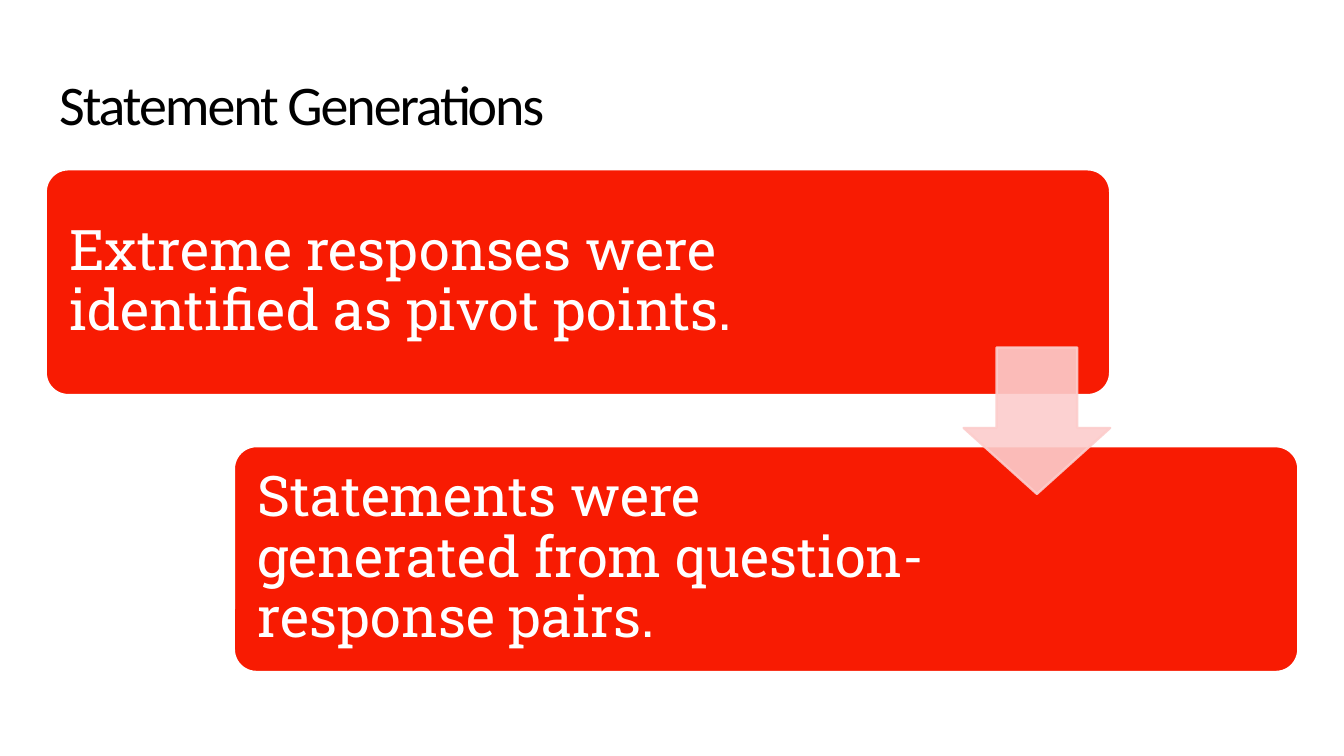
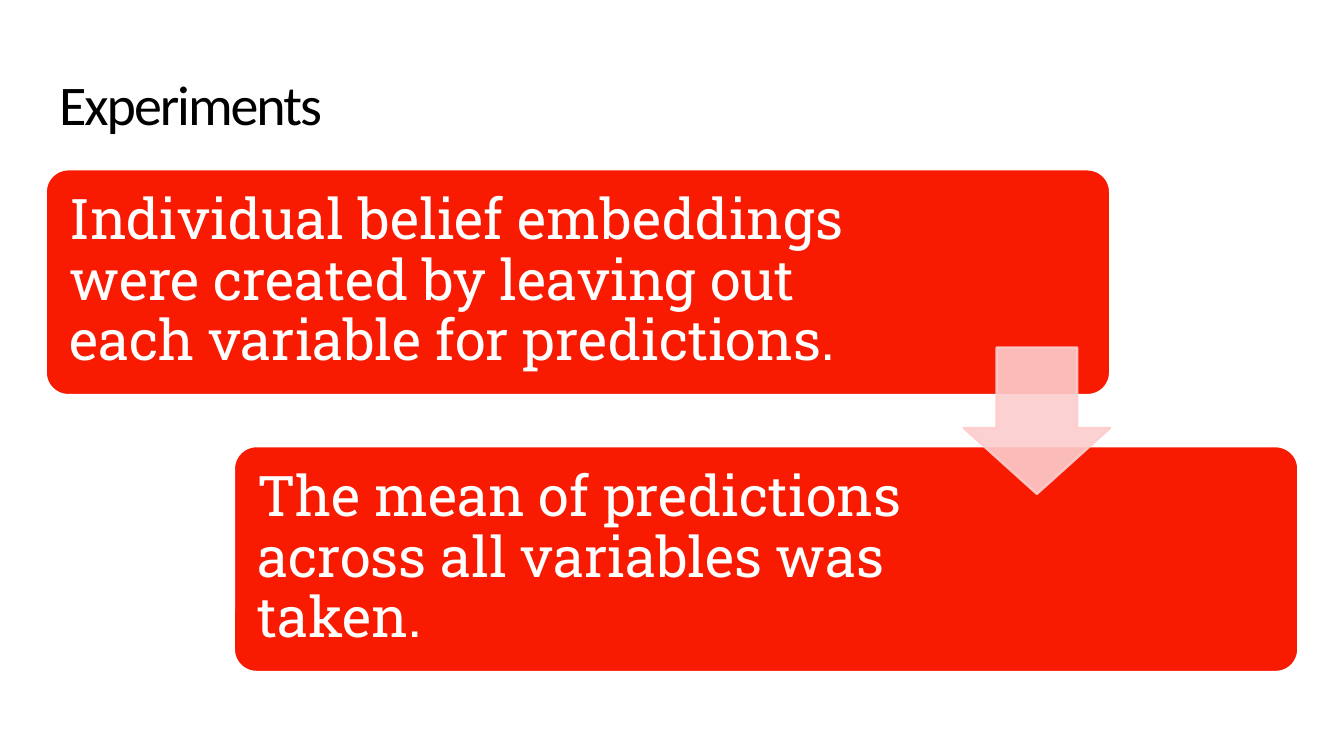
from lxml import etree
from pptx import Presentation, util as u
from pptx.dml.color import RGBColor
from pptx.enum import shapes as sh, text as tx
from pptx.oxml.ns import qn

RED, PINK, WHITE, BLACK = "F81B02", "FCCDCC", "FFFFFF", "000000"
LEFT, TOP, WIDE, HIGH = 0.34, 1.26, 7.92, 1.68   # first step box
STEP_X, STEP_Y = 1.4, 2.06                       # shift to the next step
PAD = 0.05                                       # text area inside a box
ARROW = 1.09

DECK = [
    ("Statement Generations",
     ["Extreme responses were identified as pivot points.",
      "Statements were generated from question-response pairs."]),
    ("Experiments",
     ["Individual belief embeddings were created by leaving out each variable for predictions.",
      "The mean of predictions across all variables was taken."]),
]


def paint(shape, fill, line):
    shape.shadow.inherit = False
    shape.fill.solid()
    shape.fill.fore_color.rgb = RGBColor.from_string(fill)
    shape.line.color.rgb = RGBColor.from_string(line)
    shape.line.width = u.Pt(1.25)


def write(box, words, font, color, inset, space, anchor):
    frame = box.text_frame
    frame.text = words
    frame.word_wrap = True
    frame.auto_size = tx.MSO_AUTO_SIZE.NONE
    frame.vertical_anchor = anchor
    frame.margin_left = frame.margin_right = u.Pt(inset)
    frame.margin_top = frame.margin_bottom = u.Pt(inset)
    para = frame.paragraphs[0]
    para.alignment = tx.PP_ALIGN.LEFT
    para.line_spacing = space
    para.font.name = font
    para.font.size = u.Pt(30)
    para.font.color.rgb = RGBColor.from_string(color)
    return para


# Widescreen page, 16 by 9
prs = Presentation()
prs.slide_width = u.Inches(10)
prs.slide_height = prs.slide_width * 9 // 16

for head, steps in DECK:
    slide = prs.slides.add_slide(prs.slide_layouts[5])

    # Title
    title = slide.shapes.title
    title.left, title.top = u.Inches(LEFT), u.Inches(0.49)
    title.width, title.height = u.Inches(10 - 2 * LEFT), u.Inches(0.63)
    para = write(title, head, "Calibri", BLACK, 7.2, 0.85, tx.MSO_ANCHOR.TOP)
    para.runs[0].font._element.set("spc", "-110")

    # Staggered steps, each with its text area
    for i, (words, span) in enumerate(zip(steps, (6.18, 5.33))):
        x, y = LEFT + i * STEP_X, TOP + i * STEP_Y
        box = slide.shapes.add_shape(
            sh.MSO_SHAPE.ROUNDED_RECTANGLE,
            u.Inches(x), u.Inches(y), u.Inches(WIDE), u.Inches(HIGH))
        box.adjustments[0] = 0.1
        paint(box, RED, WHITE)
        label = slide.shapes.add_textbox(
            u.Inches(x + PAD), u.Inches(y + PAD),
            u.Inches(span), u.Inches(HIGH - 2 * PAD))
        write(label, words, "Roboto Slab", WHITE, 9, 0.9, tx.MSO_ANCHOR.MIDDLE)

    # Arrow centred on the gap, flush with the first box's right side
    mid = TOP + (STEP_Y + HIGH) / 2
    arrow = slide.shapes.add_shape(
        sh.MSO_SHAPE.DOWN_ARROW,
        u.Inches(LEFT + WIDE - ARROW), u.Inches(mid - ARROW / 2),
        u.Inches(ARROW), u.Inches(ARROW))
    arrow.adjustments[0], arrow.adjustments[1] = 0.55, 0.45
    paint(arrow, PINK, PINK)
    for tint in arrow._element.spPr.iter(qn("a:srgbClr")):
        etree.SubElement(tint, qn("a:alpha")).set("val", "90000")

prs.save("out.pptx")
